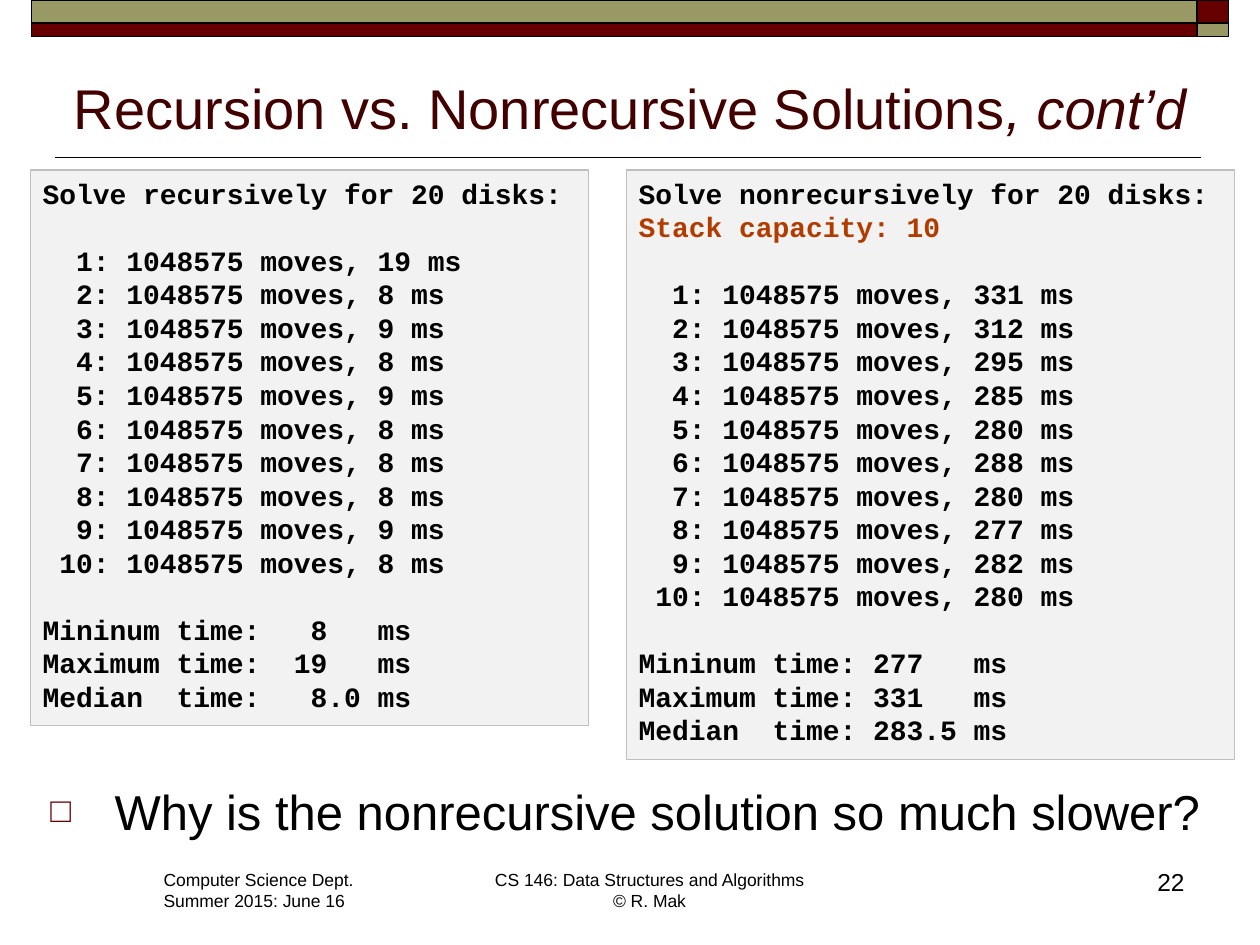
from dataclasses import dataclass

from lxml import etree
from pptx import Presentation
from pptx.dml.color import RGBColor
from pptx.enum.dml import MSO_THEME_COLOR
from pptx.enum.shapes import MSO_CONNECTOR, MSO_SHAPE
from pptx.enum.text import MSO_ANCHOR, MSO_AUTO_SIZE, PP_ALIGN
from pptx.oxml.ns import qn
from pptx.util import Pt

RECTANGLE = MSO_SHAPE.RECTANGLE
STRAIGHT = MSO_CONNECTOR.STRAIGHT
LEFT, CENTER, RIGHT = PP_ALIGN.LEFT, PP_ALIGN.CENTER, PP_ALIGN.RIGHT
TOP, BOTTOM = MSO_ANCHOR.TOP, MSO_ANCHOR.BOTTOM
NO_FIT, GROW = MSO_AUTO_SIZE.NONE, MSO_AUTO_SIZE.SHAPE_TO_FIT_TEXT
EMU_PER_PX = 9144  # 100 px to the inch


@dataclass(frozen=True)
class Theme:
    sans: str = "Arial"
    mono: str = "Courier New"
    black: str = "000000"
    maroon: str = "660000"
    olive: str = "999966"
    title: str = "420000"
    highlight: str = "B23C00"
    panel: str = "F2F2F2"
    panel_border: str = "BFBFBF"
    title_size: int = 32
    body_size: int = 28
    code_size: int = 16
    number_size: int = 14
    footer_size: int = 10


theme = Theme()


def px(*lengths):
    return [length * EMU_PER_PX for length in lengths]


def write(paragraph, text, size, color=theme.black, font=theme.sans,
          bold=False, italic=False, align=LEFT, before=0):
    """Add a formatted run to the paragraph; a vertical tab breaks the line."""
    paragraph.alignment = align
    paragraph.space_before = Pt(before)
    for index, part in enumerate(text.split("\v")):
        if index:
            paragraph.add_line_break()
        run = paragraph.add_run()
        run.text = part
        run.font.name, run.font.size = font, Pt(size)
        run.font.bold, run.font.italic = bold, italic
        run.font.color.rgb = RGBColor.from_string(color)


presentation = Presentation()
presentation.slide_width, presentation.slide_height = px(1000, 750)
slide = presentation.slides.add_slide(presentation.slide_layouts[1])
shapes = slide.shapes

# Rule under the title and the banner along the top edge
rule = shapes.add_connector(STRAIGHT, *px(44, 125, 953, 125))
rule.line.color.rgb = RGBColor.from_string(theme.black)
rule.line.width = Pt(1)
etree.SubElement(rule.line._get_or_add_ln().getparent(), qn("a:effectLst"))

for left, top, width, height, color in (
    (950, 0, 25, 18, theme.maroon),
    (25, 0, 925, 18, theme.olive),
    (25, 18, 925, 11, theme.maroon),
    (950, 18, 25, 11, theme.olive),
):
    band = shapes.add_shape(RECTANGLE, *px(left, top, width, height))
    band.shadow.inherit = False
    band.fill.solid()
    band.fill.fore_color.rgb = RGBColor.from_string(color)
    band.line.color.rgb = RGBColor.from_string(theme.black)
    band.line.width = Pt(1)

# Title and question
title, body = shapes.title, slide.placeholders[1]
for placeholder, place, anchor in (
    (title, (40, 45, 920, 72), BOTTOM),
    (body, (30, 615, 950, 55), TOP),
):
    (placeholder.left, placeholder.top,
     placeholder.width, placeholder.height) = px(*place)
    placeholder.text_frame.auto_size = NO_FIT
    placeholder.text_frame.vertical_anchor = anchor

heading = title.text_frame.paragraphs[0]
write(heading, "Recursion vs. Nonrecursive Solutions", theme.title_size,
      color=theme.title, align=CENTER)
write(heading, ", cont’d", theme.title_size, color=theme.title,
      italic=True, align=CENTER)

question = body.text_frame.paragraphs[0]
properties = question._p.get_or_add_pPr()
indent = px(51)[0]
properties.set("marL", str(indent))
properties.set("indent", str(-indent))
bullet_color = etree.SubElement(properties, qn("a:buClr"))
etree.SubElement(bullet_color, qn("a:srgbClr"), val=theme.maroon)
etree.SubElement(properties, qn("a:buSzPct"), val="70000")
etree.SubElement(properties, qn("a:buFont"), typeface=theme.sans)
etree.SubElement(properties, qn("a:buChar"), char="□")
write(question, "Why is the nonrecursive solution so much slower?",
      theme.body_size)

# Footer
for place, lines, size, align, wrap in (
    ((120, 685, 173, 44), ["Computer Science Dept.", "Summer 2015: June 16"],
     theme.footer_size, LEFT, False),
    ((382, 685, 267, 44),
     ["CS 146: Data Structures and Algorithms\v© R. Mak"],
     theme.footer_size, CENTER, False),
    ((742, 683, 208, 50), ["22"], theme.number_size, RIGHT, True),
):
    frame = shapes.add_textbox(*px(*place)).text_frame
    frame.word_wrap = wrap
    for index, line in enumerate(lines):
        paragraph = frame.add_paragraph() if index else frame.paragraphs[0]
        write(paragraph, line, size, align=align)

# Program output, with a one-line gap between its sections
section_gap = 19
for place, header, times, summary in (
    ((24, 135, 443, 441), ["Solve recursively for 20 disks:"],
     [19, 8, 9, 8, 9, 8, 8, 8, 9, 8], ("  8  ", " 19  ", "  8.0")),
    ((497, 135, 483, 468),
     ["Solve nonrecursively for 20 disks:", "Stack capacity: 10"],
     [331, 312, 295, 285, 280, 288, 280, 277, 282, 280],
     ("277  ", "331  ", "283.5")),
):
    panel = shapes.add_textbox(*px(*place))
    panel.fill.solid()
    panel.fill.fore_color.rgb = RGBColor.from_string(theme.panel)
    panel.line.color.rgb = RGBColor.from_string(theme.panel_border)
    panel.line.width = Pt(0.75)
    frame = panel.text_frame
    frame.word_wrap = False
    frame.auto_size = GROW
    trials = [f"{number:3}: 1048575 moves, {time} ms"
              for number, time in enumerate(times, 1)]
    totals = [f"{label} time: {value} ms" for label, value
              in zip(("Mininum", "Maximum", "Median "), summary)]
    paragraph = frame.paragraphs[0]
    for section in (header, trials, totals):
        for index, line in enumerate(section):
            if line != header[0]:
                paragraph = frame.add_paragraph()
            starts_section = index == 0 and section is not header
            write(paragraph, line, theme.code_size, font=theme.mono, bold=True,
                  color=theme.highlight if line.startswith("Stack")
                  else theme.black,
                  before=section_gap if starts_section else 0)

presentation.save("out.pptx")
